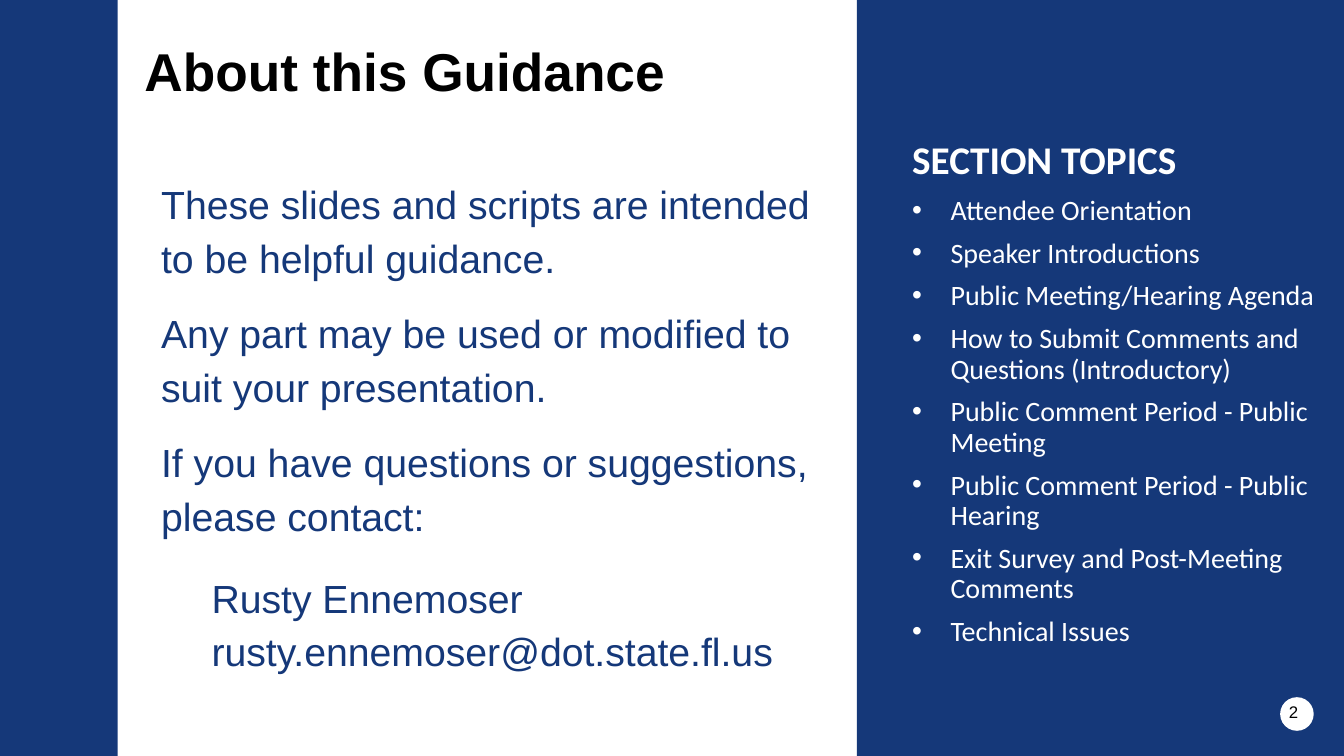
import pptx
import pptx.dml.color
import pptx.enum.shapes
import pptx.enum.text
import pptx.oxml
import pptx.oxml.ns
import pptx.util

NAVY = pptx.dml.color.RGBColor(0x15, 0x38, 0x79)
WHITE = pptx.dml.color.RGBColor(0xFF, 0xFF, 0xFF)
BLACK = pptx.dml.color.RGBColor(0x00, 0x00, 0x00)

RECTANGLE = pptx.enum.shapes.MSO_SHAPE.RECTANGLE
OVAL = pptx.enum.shapes.MSO_SHAPE.OVAL
TOP = pptx.enum.text.MSO_ANCHOR.TOP
MIDDLE = pptx.enum.text.MSO_ANCHOR.MIDDLE
LEFT = pptx.enum.text.PP_ALIGN.LEFT
CENTER = pptx.enum.text.PP_ALIGN.CENTER

COLUMNS, ROWS = 80, 45
TITLE_ONLY = 5

TOPICS = [
    "Attendee Orientation",
    "Speaker Introductions",
    "Public Meeting/Hearing Agenda",
    "How to Submit Comments and Questions (Introductory)",
    "Public Comment Period - Public Meeting",
    "Public Comment Period - Public Hearing",
    "Exit Survey and Post-Meeting Comments",
    "Technical Issues",
]
GUIDANCE = [
    ("These slides and scripts are intended to be helpful guidance.", 12),
    ("Any part may be used or modified to suit your presentation.", 12),
    ("If you have questions or suggestions, please contact:", 20),
]
CONTACT = ["Rusty Ennemoser", "rusty.ennemoser@dot.state.fl.us"]


def apply(target, values):
    for attribute, value in values.items():
        setattr(target, attribute, value)


class GuidanceSlide:
    def __init__(self, deck):
        self.slide = deck.slides.add_slide(deck.slide_layouts[TITLE_ONLY])
        self.column = deck.slide_width / COLUMNS
        self.row = deck.slide_height / ROWS

    def place(self, left, top, width, height):
        return (round(left * self.column), round(top * self.row),
                round(width * self.column), round(height * self.row))

    def panel(self, preset, area, color):
        panel = self.slide.shapes.add_shape(preset, *self.place(*area))
        panel.shadow.inherit = False
        panel.fill.solid()
        panel.fill.fore_color.rgb = color
        panel.line.fill.background()
        return panel

    def text_box(self, area):
        return self.slide.shapes.add_textbox(*self.place(*area))

    def title(self, area, text, font):
        heading = self.slide.shapes.title
        apply(heading, dict(zip(("left", "top", "width", "height"), self.place(*area))))
        self.fill_text(heading, [(text, {"alignment": LEFT}, font, {})])

    def fill_text(self, holder, paragraphs, anchor=TOP, insets=(0.1, 0.05, 0.1, 0.05)):
        frame = holder.text_frame
        sides = ("margin_left", "margin_top", "margin_right", "margin_bottom")
        apply(frame, {"word_wrap": True, "vertical_anchor": anchor,
                      "auto_size": pptx.enum.text.MSO_AUTO_SIZE.NONE})
        apply(frame, {side: pptx.util.Inches(inset) for side, inset in zip(sides, insets)})
        for index, (text, spacing, font, indent) in enumerate(paragraphs):
            paragraph = frame.add_paragraph() if index else frame.paragraphs[0]
            paragraph.text = text
            apply(paragraph, {"alignment": LEFT, **spacing})
            self.indent(paragraph, **indent)
            self.style(paragraph.runs[0].font, **font)

    def indent(self, paragraph, margin=0, first=0, bullet=None):
        properties = paragraph._p.get_or_add_pPr()
        properties.set("marL", str(pptx.util.Inches(margin)))
        properties.set("indent", str(pptx.util.Inches(first)))
        if bullet:
            namespace = pptx.oxml.ns.nsdecls("a")
            properties.append(pptx.oxml.parse_xml(f'<a:buFont {namespace} typeface="Arial"/>'))
            properties.append(pptx.oxml.parse_xml(f'<a:buChar {namespace} char="{bullet}"/>'))

    def style(self, font, size, color, name="Arial", bold=False):
        apply(font, {"name": name, "size": pptx.util.Pt(size), "bold": bold})
        font.color.rgb = color


def main():
    deck = pptx.Presentation()
    apply(deck, {"slide_width": pptx.util.Inches(13.33),
                 "slide_height": pptx.util.Inches(7.5)})
    page = GuidanceSlide(deck)

    page.panel(RECTANGLE, (0, 0, 7, ROWS), NAVY)
    topics_panel = page.panel(RECTANGLE, (51, 0, 29, ROWS), NAVY)
    topic_spacing = {"line_spacing": 0.9, "space_after": pptx.util.Pt(9)}
    topic_font = {"size": 20, "color": WHITE, "name": "Calibri"}
    topic_indent = {"margin": 0.38, "first": -0.38, "bullet": "•"}
    section = ("SECTION TOPICS", topic_spacing, {**topic_font, "size": 28, "bold": True}, {})
    page.fill_text(topics_panel,
                   [section] + [(topic, topic_spacing, topic_font, topic_indent)
                                for topic in TOPICS],
                   insets=(0.55, 1.4, 0.2, 0.05))

    body_font = {"size": 28, "color": NAVY}
    before = pptx.util.Pt(3)
    guidance = [
        (text, {"line_spacing": 1.15, "space_after": pptx.util.Pt(after),
                "space_before": before if index else None}, body_font, {})
        for index, (text, after) in enumerate(GUIDANCE)
    ]
    contact = [(text, {"line_spacing": 1.05, "space_before": before}, body_font, {"first": 0.5})
               for text in CONTACT]
    page.fill_text(page.text_box((9, 10, 40, 30)), guidance + contact)

    page.panel(OVAL, (76.2, 41.5, 2, 2), WHITE)
    page.fill_text(page.text_box((75.5, 41.5, 3, 1.8)),
                   [("2", {"alignment": CENTER}, {"size": 12, "color": BLACK}, {})], MIDDLE)

    page.title((8, 2, 69.4, 3.5), "About this Guidance",
               {"size": 38, "color": BLACK, "bold": True})
    deck.save("out.pptx")


if __name__ == "__main__":
    main()
